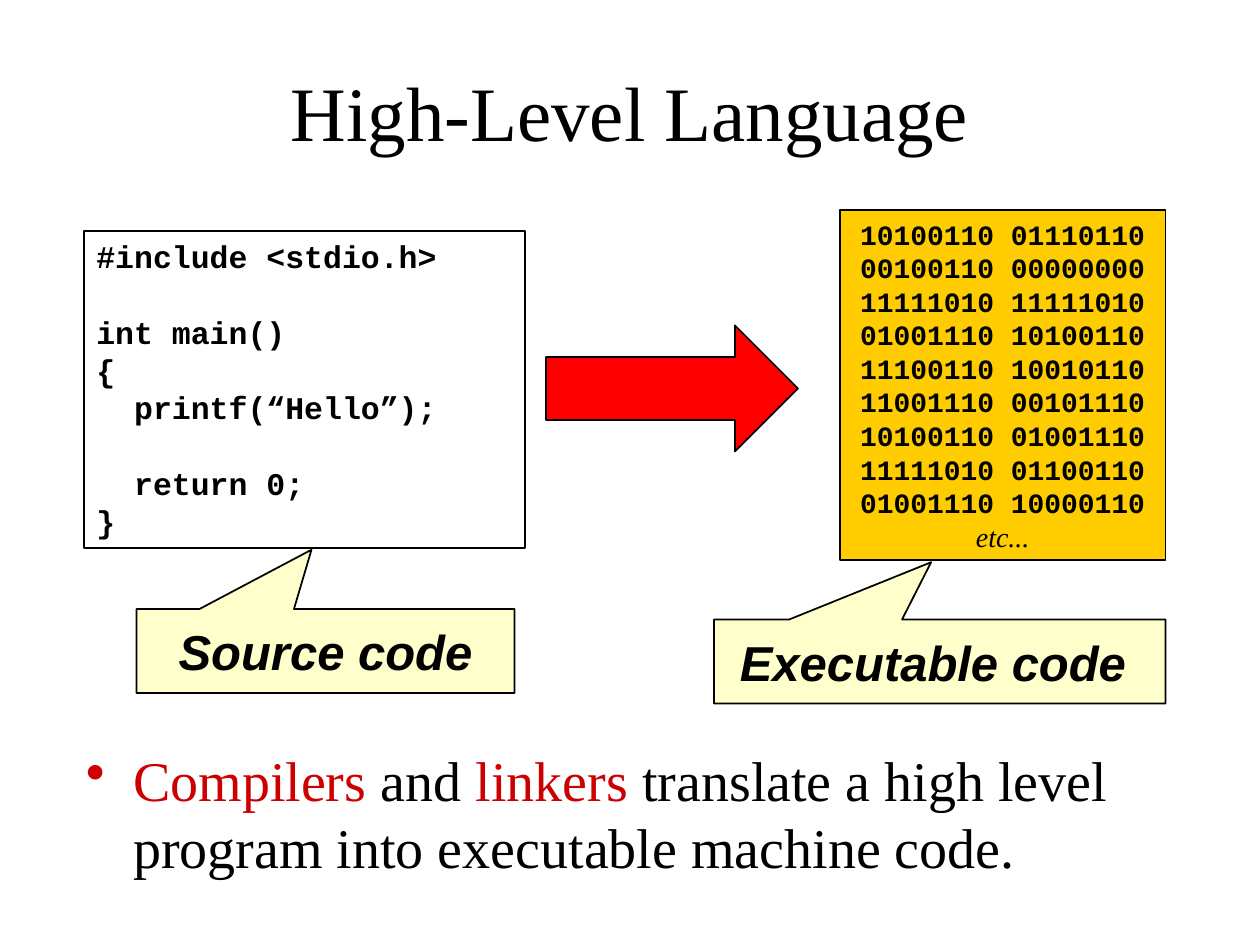
import pptx
import pptx.dml.color
import pptx.enum.shapes
import pptx.enum.text
import pptx.util
from pptx.oxml.ns import qn

Pt = pptx.util.Pt
Shape = pptx.enum.shapes.MSO_SHAPE
Align = pptx.enum.text.PP_ALIGN
Anchor = pptx.enum.text.MSO_ANCHOR

SERIF, SANS, MONO = "Times New Roman", "Arial", "Courier New"
BLACK, ACCENT = "000000", "CC0000"
CODE_LINE = 21.6

SOURCE_CODE = """#include <stdio.h>

int main()
{
  printf(“Hello”);

  return 0;
}"""

MACHINE_CODE = """10100110 01110110
00100110 00000000
11111010 11111010
01001110 10100110
11100110 10010110
11001110 00101110
10100110 01001110
11111010 01100110
01001110 10000110"""


def color(hex_string):
    return pptx.dml.color.RGBColor.from_string(hex_string)


class SlideBuilder:
    def __init__(self, presentation):
        self.slide = presentation.slides.add_slide(presentation.slide_layouts[5])

    def format_font(self, font, name, size, bold=False, italic=False):
        font.name, font.size = name, Pt(size)
        font.bold, font.italic = bold, italic
        font.color.rgb = color(BLACK)

    def title(self, text, left, top, width, height):
        title = self.slide.shapes.title
        title.left, title.top = Pt(left), Pt(top)
        title.width, title.height = Pt(width), Pt(height)
        title.text_frame.text = text
        title.text_frame.vertical_anchor = Anchor.MIDDLE
        paragraph = title.text_frame.paragraphs[0]
        paragraph.alignment = Align.CENTER
        self.format_font(paragraph.font, SERIF, 44)

    def shape(self, kind, left, top, width, height, fill, line_width=1):
        shape = self.slide.shapes.add_shape(
            kind, Pt(left), Pt(top), Pt(width), Pt(height))
        shape.shadow.inherit = False
        shape.fill.solid()
        shape.fill.fore_color.rgb = color(fill)
        shape.line.color.rgb = color(BLACK)
        shape.line.width = Pt(line_width)
        return shape

    def lines(self, shape, text, size, alignment, anchor):
        """Write code lines; an empty line becomes space before the next one."""
        frame = shape.text_frame
        frame.word_wrap = True
        frame.vertical_anchor = anchor
        paragraph, gap = frame.paragraphs[0], 0
        for number, line in enumerate(text.split("\n")):
            if not line:
                gap += CODE_LINE
                continue
            if number:
                paragraph = frame.add_paragraph()
            paragraph.text = line
            paragraph.alignment = alignment
            if gap:
                paragraph.space_before = Pt(gap)
            self.format_font(paragraph.font, MONO, size, bold=True)
            gap = 0

    def callout(self, text, left, top, width, height, tip):
        shape = self.shape(Shape.RECTANGULAR_CALLOUT, left, top, width, height, "FFFFCC")
        shape.adjustments[0], shape.adjustments[1] = tip
        frame = shape.text_frame
        frame.word_wrap = False
        frame.vertical_anchor = Anchor.MIDDLE
        paragraph = frame.paragraphs[0]
        paragraph.text = text
        paragraph.alignment = Align.CENTER
        self.format_font(paragraph.font, SANS, 28, bold=True, italic=True)

    def bullet(self, parts, left, top, width, height, indent):
        """Add one bulleted paragraph from (text, colour) parts."""
        frame = self.slide.shapes.add_textbox(
            Pt(left), Pt(top), Pt(width), Pt(height)).text_frame
        frame.word_wrap = True
        frame.margin_top = Pt(6)
        paragraph = frame.paragraphs[0]
        properties = paragraph._p.get_or_add_pPr()
        properties.set("marL", str(Pt(indent)))
        properties.set("indent", str(-Pt(indent)))
        bullet = properties.makeelement(qn("a:buChar"), {"char": "•"})
        properties.append(bullet)
        self.format_font(paragraph.font, SERIF, 32)
        for text, hex_string in parts:
            run = paragraph.add_run()
            run.text = text
            run.font.color.rgb = color(hex_string)


def main():
    presentation = pptx.Presentation()
    presentation.slide_width, presentation.slide_height = Pt(720), Pt(540)
    builder = SlideBuilder(presentation)

    builder.title("High-Level Language", 54, 18, 612, 90)
    builder.bullet(
        [("Compilers", ACCENT), (" and ", BLACK), ("linkers", ACCENT),
         (" translate a high level program into executable machine code.", BLACK)],
        42, 420, 612, 96, indent=27)

    source = builder.shape(Shape.RECTANGLE, 48, 132, 252, 181.2, "FFFFFF")
    builder.lines(source, SOURCE_CODE, 18, Align.LEFT, Anchor.TOP)
    builder.callout("Source code", 78, 348, 216, 48, (-0.037, -1.206))
    builder.callout("Executable code ", 408, 354, 258, 48, (-0.019, -1.182))

    builder.shape(Shape.RIGHT_ARROW, 312, 186, 144, 72, "FF0000")
    executable = builder.shape(Shape.RECTANGLE, 480, 120, 186, 200, "FFCC00", 0.75)
    builder.lines(executable, MACHINE_CODE, 16, Align.CENTER, Anchor.MIDDLE)
    ending = executable.text_frame.add_paragraph()
    ending.text = "etc..."
    ending.alignment = Align.CENTER
    builder.format_font(ending.font, SERIF, 16, italic=True)

    presentation.save("out.pptx")


if __name__ == "__main__":
    main()
